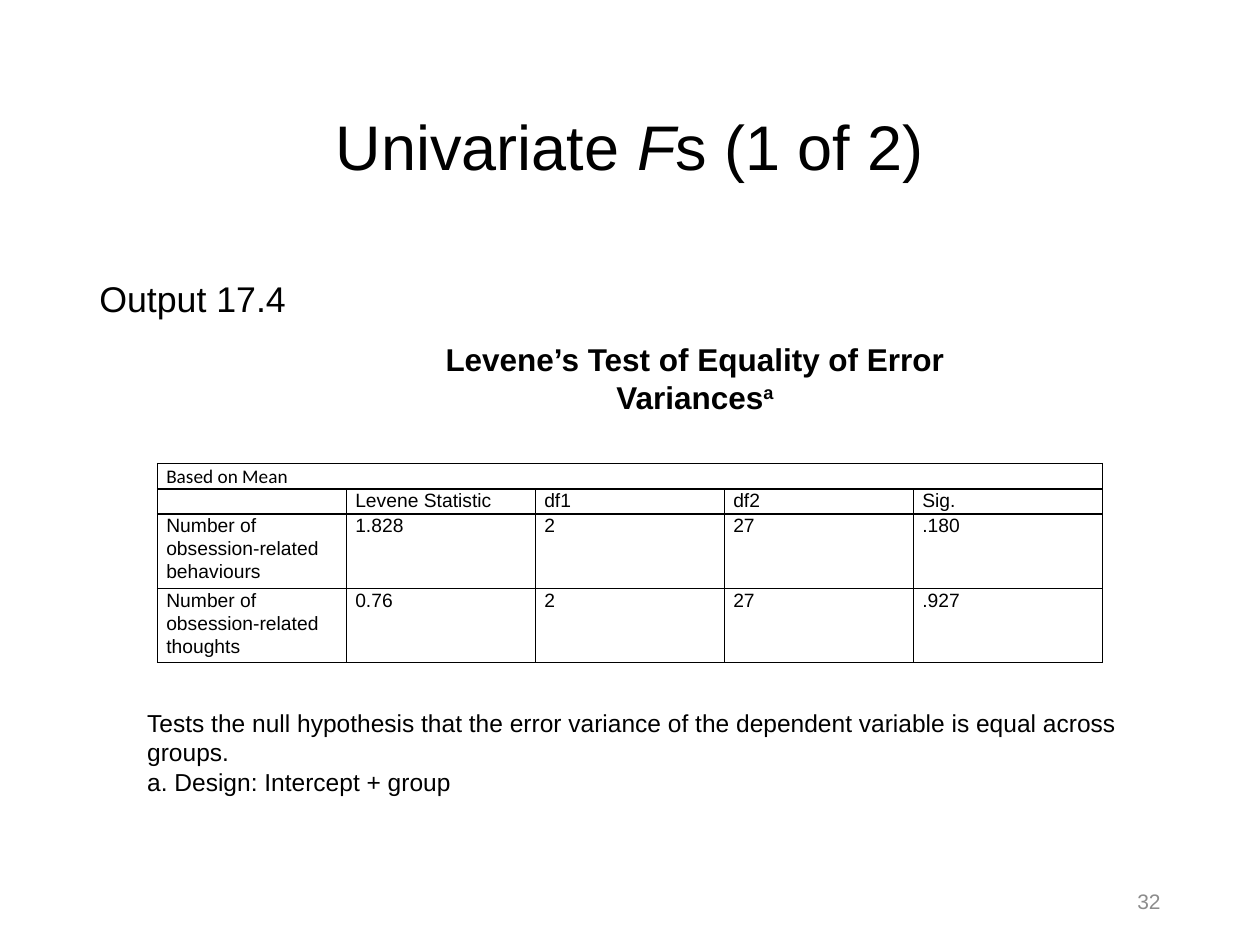
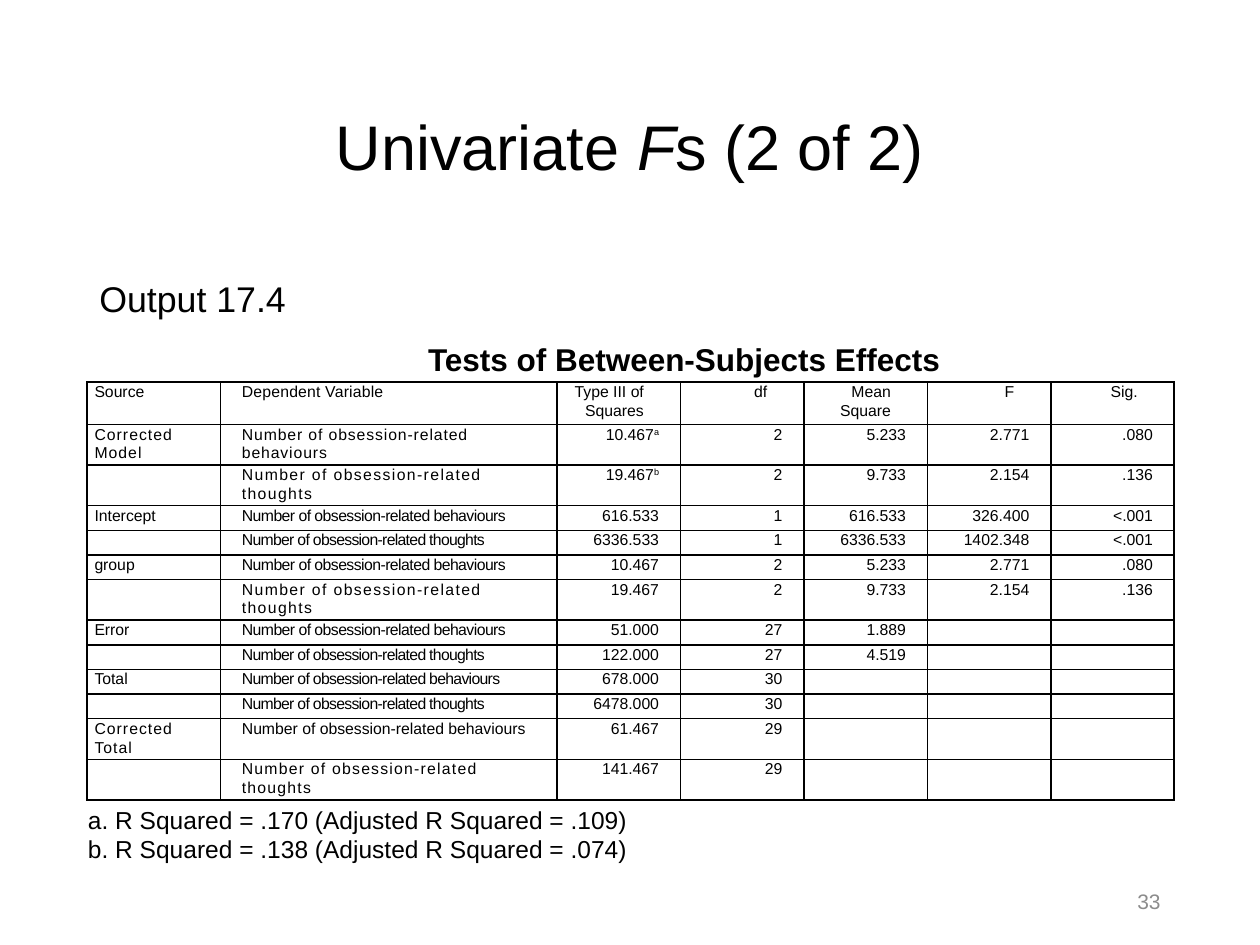
from lxml import etree
from pptx import Presentation
from pptx.dml.color import RGBColor
from pptx.enum.text import MSO_ANCHOR, PP_ALIGN
from pptx.oxml.ns import qn
from pptx.util import Inches, Pt

LEFT, CENTER, RIGHT = PP_ALIGN.LEFT, PP_ALIGN.CENTER, PP_ALIGN.RIGHT
TOP, MIDDLE = MSO_ANCHOR.TOP, MSO_ANCHOR.MIDDLE

COLORS = {"ink": "000000", "number": "8C8C8C"}
FONT, ALT_FONT = "Arial", "Calibri"
WIDTH, HEIGHT = 10, 7.5
MARGIN = 0.69
CONTENT = WIDTH - 2 * MARGIN
CELL_SPACING = 1.07

BEHAVIOURS = "Number of obsession-related behaviours"
THOUGHTS = "Number of obsession-related thoughts"

LEVENE = [
    ["Based on Mean", "", "", "", ""],
    ["", "Levene Statistic", "df1", "df2", "Sig."],
    [BEHAVIOURS, "1.828", "2", "27", ".180"],
    [THOUGHTS, "0.76", "2", "27", ".927"],
]

EFFECTS_HEADER = ["Source", "Dependent Variable", "Type III of Squares", "df",
                  "Mean Square", "F", "Sig."]
# Source, dependent variable, its letter spacing in points, then the statistics
EFFECTS = [
    ("Corrected Model", BEHAVIOURS, 0.5, "10.467^a", "2", "5.233", "2.771", ".080"),
    ("", THOUGHTS, 0.8, "19.467^b", "2", "9.733", "2.154", ".136"),
    ("Intercept", BEHAVIOURS, -0.3, "616.533", "1", "616.533", "326.400", "<.001"),
    ("", THOUGHTS, -0.4, "6336.533", "1", "6336.533", "1402.348", "<.001"),
    ("group", BEHAVIOURS, -0.3, "10.467", "2", "5.233", "2.771", ".080"),
    ("", THOUGHTS, 0.8, "19.467", "2", "9.733", "2.154", ".136"),
    ("Error", BEHAVIOURS, -0.3, "51.000", "27", "1.889", "", ""),
    ("", THOUGHTS, -0.4, "122.000", "27", "4.519", "", ""),
    ("Total", BEHAVIOURS, -0.4, "678.000", "30", "", "", ""),
    ("", THOUGHTS, -0.4, "6478.000", "30", "", "", ""),
    ("Corrected Total", BEHAVIOURS, 0, "61.467", "29", "", "", ""),
    ("", THOUGHTS, 0.7, "141.467", "29", "", "", ""),
]


def write(p, text, size, color="ink", font=FONT, bold=False, align=LEFT, spacing=None, tracking=0):
    """Fill a paragraph; what follows a ^ is superscript."""
    p.alignment = align
    if spacing:
        p.line_spacing = spacing
    if not text:
        etree.SubElement(p._p, qn("a:endParaRPr"), sz=str(int(size * 100)))
        return
    for i, part in enumerate(text.split("^")):
        r = p.add_run()
        r.text = part
        r.font.size, r.font.name, r.font.bold = Pt(size), font, bold
        r.font.color.rgb = RGBColor.from_string(COLORS[color])
        if tracking:
            r.font._element.set("spc", str(round(tracking * 100)))
        if i:
            r.font._element.set("baseline", "30000")


def add_text(s, box, lines, size, anchor=TOP, **style):
    tf = s.shapes.add_textbox(*map(Inches, box)).text_frame
    tf.word_wrap = True
    tf.vertical_anchor = anchor
    for i, line in enumerate(lines):
        p = tf.add_paragraph() if i else tf.paragraphs[0]
        write(p, line, size, **style)
    return tf


def add_frame(prs, part, number, heading, heading_box):
    """Add a slide with the title, output label, table heading and slide number."""
    s = prs.slides.add_slide(prs.slide_layouts[6])
    tf = add_text(s, (MARGIN, 0.47, CONTENT, 1.45), [""], 36, MIDDLE)
    p = tf.paragraphs[0]
    p.text = ""
    for end in p._p.findall(qn("a:endParaRPr")):
        p._p.remove(end)
    for text in ("Univariate ", "F", f"s ({part} of 2)"):
        write(p, text, 36, align=CENTER, spacing=0.9)
    p.runs[1].font.italic = True
    add_text(s, (MARGIN, 2.21, CONTENT, 0.4), ["Output 17.4"], 20.4, spacing=0.8)
    add_text(s, heading_box, [heading], 18, bold=True, align=CENTER)
    add_text(s, (WIDTH - MARGIN - 2.25, 6.95, 2.25, 0.4), [str(number)], 12, MIDDLE,
             color="number", align=RIGHT)
    return s


def add_grid(s, left, top, widths, heights):
    """Add an unfilled table with thin black rules."""
    box = map(Inches, (left, top, sum(widths), sum(heights)))
    table = s.shapes.add_table(len(heights), len(widths), *box).table
    table.first_row = table.horz_banding = False
    for column, width in zip(table.columns, widths):
        column.width = Inches(width)
    for row, height in zip(table.rows, heights):
        row.height = Inches(height)
    for cell in table.iter_cells():
        tc_pr = cell._tc.get_or_add_tcPr()
        for side in ("lnL", "lnR", "lnT", "lnB"):
            ln = etree.SubElement(tc_pr, qn(f"a:{side}"), w=str(Pt(1)))
            fill = etree.SubElement(ln, qn("a:solidFill"))
            etree.SubElement(fill, qn("a:srgbClr"), val=COLORS["ink"])
        cell.fill.background()
    return table


def fill_cell(cell, text, size, inset, indent=0, right=0, **style):
    cell.margin_left = cell.margin_right = Inches(inset)
    cell.margin_top = cell.margin_bottom = 0
    p = cell.text_frame.paragraphs[0]
    p_pr = p._p.get_or_add_pPr()
    p_pr.set("marL", str(Inches(indent)))
    p_pr.set("marR", str(Inches(right)))
    write(p, text, size, spacing=CELL_SPACING, **style)


def add_levene_table(s):
    table = add_grid(s, 1.25, 3.68, [1.5] * 5, [0.2, 0.2, 0.59, 0.59])
    for i, row in enumerate(LEVENE):
        for j, text in enumerate(row):
            fill_cell(table.cell(i, j), text, 11, 0.07, font=FONT if i else ALT_FONT)
    table.cell(0, 0).merge(table.cell(0, 4))


def add_effects_table(s):
    header, double, total = 0.34, 0.32, 3.31
    tall = [row[0].startswith("Corrected") or row[2] > 0 for row in EFFECTS]
    single = (total - header - double * sum(tall)) / tall.count(False)
    heights = [header] + [double if t else single for t in tall]
    table = add_grid(s, MARGIN, 3.03, [1.06, 2.67] + [0.98] * 5, heights)

    rows = [(EFFECTS_HEADER, 0.1)] + [(row[:2] + row[3:], row[2]) for row in EFFECTS]
    for i, (texts, tracking) in enumerate(rows):
        for j, text in enumerate(texts):
            if j == 0:
                style = {"tracking": 0.6 if text.startswith("Corrected") else 0}
            elif j == 1:
                style = {"tracking": tracking, "indent": 0.11}
            else:
                style = {"align": RIGHT}
            fill_cell(table.cell(i, j), text, 9, 0.06, right=0.11 if i else 0.23, **style)


def main():
    prs = Presentation()
    prs.slide_width, prs.slide_height = Inches(WIDTH), Inches(HEIGHT)

    s = add_frame(prs, 1, 32, "Levene’s Test of Equality of Error Variances^a",
                  (3.29, 2.65, 4.45, 0.71))
    add_levene_table(s)
    add_text(s, (1.07, 5.57, 8.04, 0.81), [
        "Tests the null hypothesis that the error variance of the dependent variable "
        "is equal across groups.",
        "a. Design: Intercept + group"], 14)

    s = add_frame(prs, 2, 33, "Tests of Between-Subjects Effects", (3.29, 2.65, 4.28, 0.4))
    add_effects_table(s)
    add_text(s, (0.6, 6.34, 8.04, 0.57), [
        "a. R Squared = .170 (Adjusted R Squared = .109)",
        "b. R Squared = .138 (Adjusted R Squared = .074)"], 14)

    prs.save("out.pptx")


if __name__ == "__main__":
    main()
